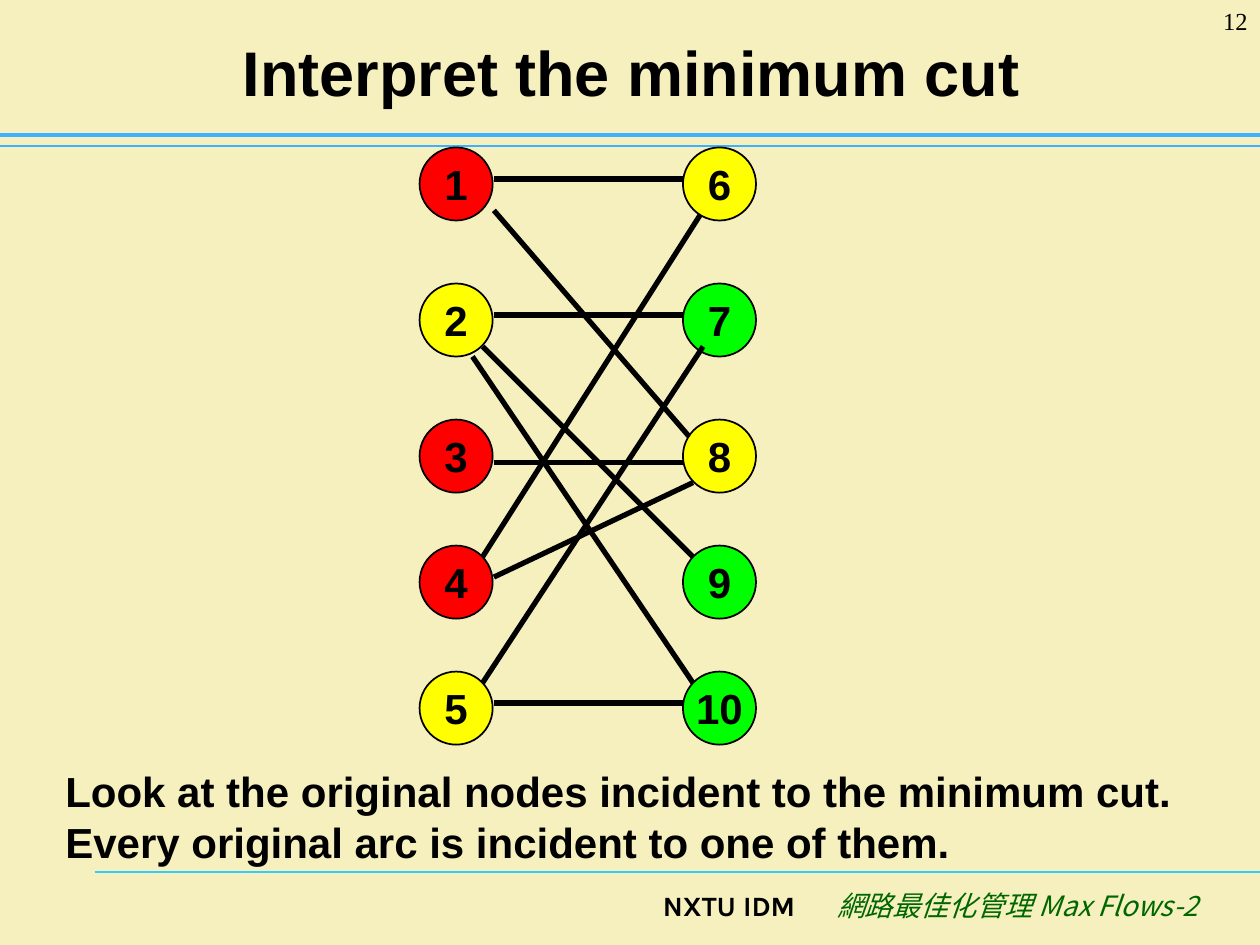
import pptx
import pptx.util
import pptx.dml.color
import pptx.enum.shapes
import pptx.enum.text
import pptx.oxml.ns
import lxml.etree

Inches = pptx.util.Inches
Align = pptx.enum.text.PP_ALIGN
Kind = pptx.enum.shapes.MSO_SHAPE
HUES = {
    "back": "F5F0BD", "ink": "000000", "rule": "3DB0FF", "base": "33CCFF",
    "course": "006600", "red": "FF0000", "yellow": "FFFF00", "green": "00FF00",
}


def hue(name):
    return pptx.dml.color.RGBColor.from_string(HUES[name])


class Deck:
    """Holds the text style and the current slide."""

    font = {"name": "Arial", "bold": True, "italic": False}

    def __init__(self, wide, high):
        self.show = pptx.Presentation()
        self.show.slide_width = Inches(wide)
        self.show.slide_height = Inches(high)
        self.page = self.show.slides.add_slide(self.show.slide_layouts[6])
        fill = self.page.background.fill
        fill.solid()
        fill.fore_color.rgb = hue("back")

    def label(self, frame, text, size, align, color="ink", space=0, **form):
        para = frame.paragraphs[0]
        para.alignment = align
        para.space_before = pptx.util.Pt(space)
        run = para.add_run()
        run.text = text
        look = {**self.font, "size": pptx.util.Pt(size), **form}
        for key, value in look.items():
            setattr(run.font, key, value)
        run.font.color.rgb = hue(color)
        # East Asian letters take the same font
        props = run._r.get_or_add_rPr()
        east = lxml.etree.SubElement(props, pptx.oxml.ns.qn("a:ea"))
        east.set("typeface", look["name"])
        props.find(pptx.oxml.ns.qn("a:latin")).addnext(east)

    def text(self, box, text, size, align, middle=False, **form):
        frame = self.page.shapes.add_textbox(*map(Inches, box)).text_frame
        frame.word_wrap = True
        if middle:
            frame.vertical_anchor = pptx.enum.text.MSO_ANCHOR.MIDDLE
        self.label(frame, text, size, align, **form)

    def line(self, start, end, width, color="ink"):
        line = self.page.shapes.add_connector(
            pptx.enum.shapes.MSO_CONNECTOR.STRAIGHT,
            *map(Inches, (*start, *end)))
        line.line.color.rgb = hue(color)
        line.line.width = pptx.util.Pt(width)
        lxml.etree.SubElement(line._element.spPr, pptx.oxml.ns.qn("a:effectLst"))

    def node(self, left, top, text, color):
        size = 0.58
        node = self.page.shapes.add_shape(
            Kind.OVAL, *map(Inches, (left, top, size, size)))
        node.shadow.inherit = False
        node.fill.solid()
        node.fill.fore_color.rgb = hue(color)
        node.line.color.rgb = hue("ink")
        node.line.width = pptx.util.Pt(1)
        frame = node.text_frame
        frame.word_wrap = False
        frame.vertical_anchor = pptx.enum.text.MSO_ANCHOR.MIDDLE
        self.label(frame, text, 24, Align.CENTER)


def main():
    deck = Deck(10, 7.5)

    # Rules and footer
    deck.line((0.75, 6.92), (10, 6.92), 0.75, "base")
    deck.line((0, 1.16), (10, 1.16), 0.75, "rule")
    deck.line((0, 1.07), (10, 1.07), 2.5, "rule")
    deck.text((4.61, 7, 1.8, 0.5), "NXTU IDM", 16, Align.RIGHT, name="Karla")
    deck.text((6.41, 7, 3.2, 0.5), "網路最佳化管理 Max Flows-2", 16, Align.RIGHT,
              color="course", name="Noto Sans CJK SC", bold=False, italic=True)

    # Title and page number
    deck.text((0.51, 0.13, 9, 0.87), "Interpret the minimum cut", 36,
              Align.CENTER, middle=True)
    deck.text((9.17, 0, 0.83, 0.5), "12", 14, Align.RIGHT,
              name="Times New Roman", bold=False)

    # Nodes 1 to 5 on the left, 6 to 10 on the right
    rows = (1.17, 2.25, 3.33, 4.33, 5.33)
    spots = [(left, top) for left in (3.33, 5.42) for top in rows]
    groups = {"green": (7, 9, 10), "red": (1, 3, 4), "yellow": (2, 5, 6, 8)}

    def nodes(color):
        for num in groups[color]:
            deck.node(*spots[num - 1], str(num), color)

    # Arcs lie over the green nodes and under the others
    nodes("green")
    arcs = (
        ((3.92, 1.42), (5.42, 1.42)),
        ((3.92, 1.67), (5.5, 3.5)),
        ((3.92, 2.5), (5.42, 2.5)),
        ((3.83, 2.75), (5.5, 4.42)),
        ((3.75, 2.83), (5.5, 5.42)),
        ((3.92, 3.67), (5.5, 3.67)),
        ((3.83, 4.42), (5.58, 1.67)),
        ((3.92, 4.58), (5.5, 3.83)),
        ((3.83, 5.42), (5.58, 2.75)),
        ((3.92, 5.58), (5.42, 5.58)),
    )
    for start, end in arcs:
        deck.line(start, end, 3)
    nodes("red")
    nodes("yellow")

    # Caption
    deck.text((0.42, 6.03, 9.58, 0.9),
              "Look at the original nodes incident to the minimum cut. "
              "Every original arc is incident to one of them.",
              24, Align.LEFT, space=15)

    deck.show.save("out.pptx")


if __name__ == "__main__":
    main()
